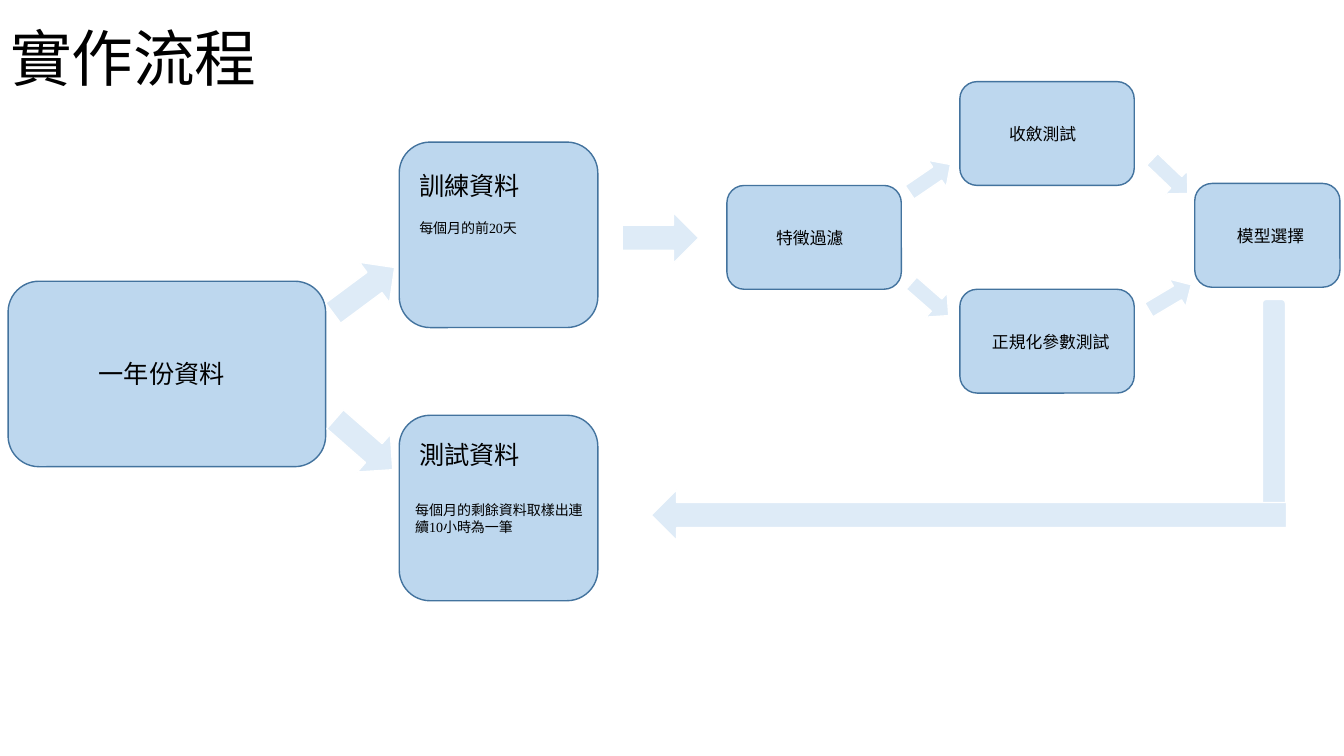
from pptx import Presentation
from pptx.dml.color import RGBColor
from pptx.enum.shapes import MSO_SHAPE as Preset
from pptx.enum.text import MSO_ANCHOR as Anchor, PP_ALIGN as Align
from pptx.util import Inches, Pt

COLORS = {"box": "BDD7EE", "edge": "43739E", "arrow": "DEEBF7", "white": "FFFFFF", "text": "000000"}
FONT = "Times New Roman"


def color(name):
    """Return the named colour."""
    return RGBColor.from_string(COLORS[name])


def write(shape, text, size, anchor):
    """Write left-aligned black text into a shape."""
    frame = shape.text_frame
    for name, value in {"text": text, "word_wrap": True, "vertical_anchor": anchor}.items():
        setattr(frame, name, value)
    paragraph = frame.paragraphs[0]
    paragraph.alignment = Align.LEFT
    font = paragraph.runs[0].font
    for name, value in {"name": FONT, "size": Pt(size)}.items():
        setattr(font, name, value)
    font.color.rgb = color("text")
    return paragraph


def add_preset(slide, preset, box, fill, edge=None, rotation=0):
    """Add a filled preset shape, with an outline if an edge is named."""
    shape = slide.shapes.add_shape(preset, *map(Inches, box))
    shape.shadow.inherit = False
    shape.rotation = rotation
    shape.fill.solid()
    shape.fill.fore_color.rgb = color(fill)
    if edge:
        shape.line.color.rgb = color(edge)
        shape.line.width = Pt(1)
    else:
        shape.line.fill.background()
    return shape


def add_title(slide, box, text):
    """Place and format the slide title."""
    title = slide.shapes.title
    for name, value in zip(("left", "top", "width", "height"), box):
        setattr(title, name, Inches(value))
    write(title, text, 44, Anchor.MIDDLE).line_spacing = 0.9


def add_step(slide, box, labels):
    """Add a rounded step box with labels offset from its corner."""
    left, top = box[:2]
    add_preset(slide, Preset.ROUNDED_RECTANGLE, box, "box", "edge")
    for text, size, (x, y, width, height) in labels:
        label = add_preset(slide, Preset.RECTANGLE, (left + x, top + y, width, height), "box")
        write(label, text, size, Anchor.TOP)


def add_data_split(slide, left, top):
    """Add the yearly data and its training and test parts."""
    add_step(slide, (left, top + 1.38, 3.15, 1.84), [("一年份資料", 18, (0.8, 0.72, 1.72, 0.4))])
    parts = [
        (0, [("訓練資料", 18, (0.1, 0.23, 1.33, 0.4)),
             ("每個月的前20天", 10, (0.1, 0.72, 1.75, 0.27))]),
        (2.71, [("測試資料", 18, (0.1, 0.19, 1.33, 0.4)),
                ("每個月的剩餘資料取樣出連續10小時為一筆", 10, (0.06, 0.81, 1.87, 0.44))]),
    ]
    for y, labels in parts:
        add_step(slide, (left + 3.88, top + y, 1.97, 1.84), labels)
    for y, rotation in ((1.22, 323.4), (2.75, 41.2)):
        add_arrow(slide, (left + 3.15, top + y, 0.76, 0.5), rotation)


def add_model_search(slide, left, top):
    """Add the steps from feature filtering to model selection."""
    steps = [
        ("特徵過濾", 0, 1.03, 1.73, (0.39, 1.09)),
        ("收斂測試", 2.31, 0, 1.73, (0.39, 1.09)),
        ("正規化參數測試", 2.31, 2.06, 1.73, (0.22, 1.48)),
        ("模型選擇", 4.64, 1.01, 1.44, (0.32, 0.91)),
    ]
    for text, x, y, width, (indent, label_width) in steps:
        add_step(slide, (left + x, top + y, width, 1.03), [(text, 12, (indent, 0.37, label_width, 0.3))])
    arrows = [(1.77, 2, 41.2), (1.77, 0.8, 325.7), (4.15, 1.98, 329.3), (4.15, 0.78, 43.6)]
    for x, y, rotation in arrows:
        add_arrow(slide, (left + x, top + y, 0.49, 0.32), rotation)


def add_arrow(slide, box, rotation=0):
    """Add a pale block arrow."""
    add_preset(slide, Preset.RIGHT_ARROW, box, "arrow", "white", rotation)


def add_return_path(slide, left, top):
    """Add the path from the chosen model back to the test data."""
    add_preset(slide, Preset.ROUND_2_SAME_RECTANGLE, (left + 6.06, top, 0.23, 2.09), "arrow", "white")
    add_arrow(slide, (left, top + 1.89, 6.3, 0.5), 180)


def build():
    """Build and save the workflow slide."""
    presentation = Presentation()
    presentation.slide_width, presentation.slide_height = Inches(13.33), Inches(7.5)
    slide = presentation.slides.add_slide(presentation.slide_layouts[5])
    add_title(slide, (0, -0.11, 11.5, 1.45), "實作流程")
    add_data_split(slide, 0.08, 1.41)
    add_arrow(slide, (6.17, 2.11, 0.76, 0.5))
    add_model_search(slide, 7.21, 0.81)
    add_return_path(slide, 6.46, 2.97)
    presentation.save("out.pptx")


build()
